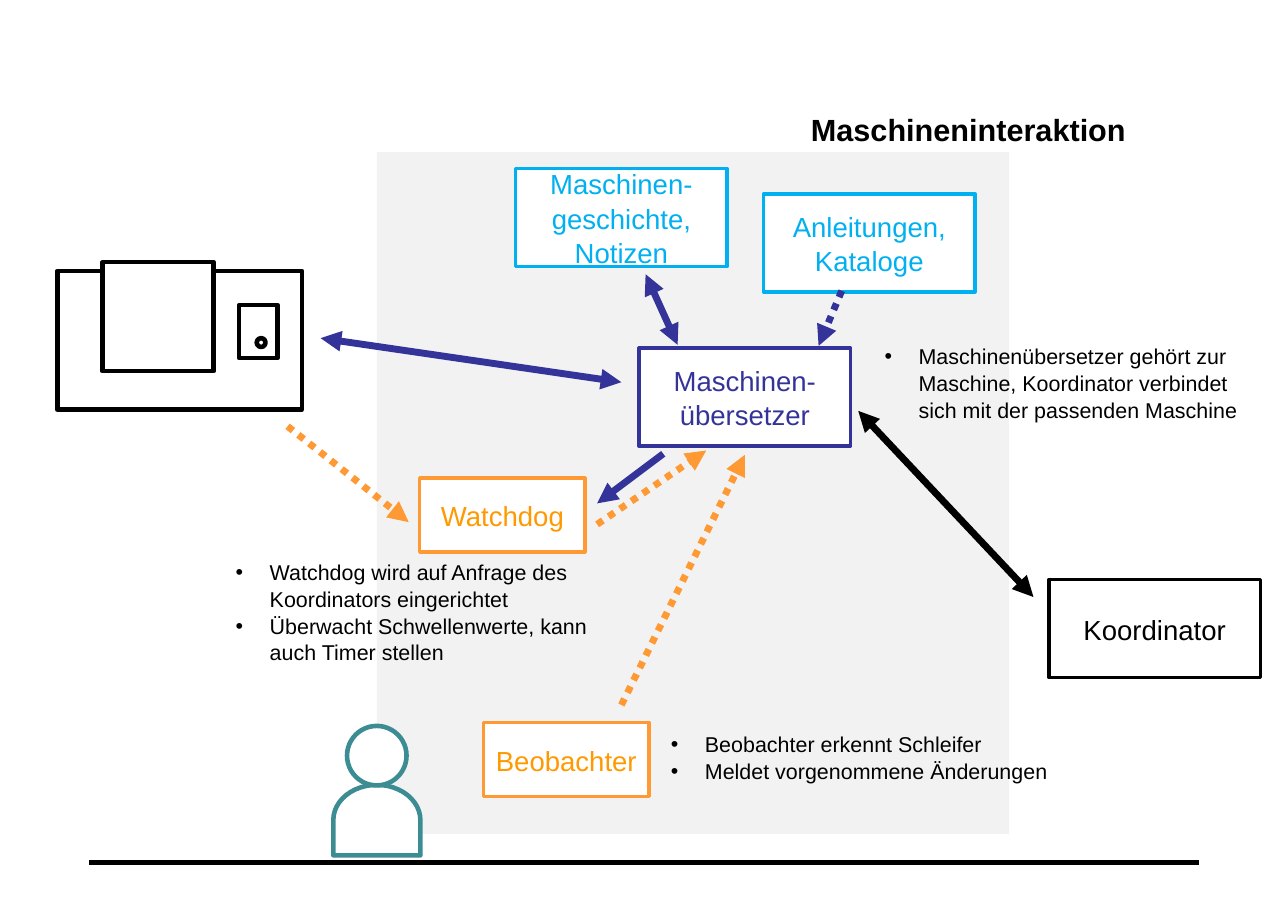
from lxml.etree import SubElement
from pptx import Presentation
from pptx.dml.color import RGBColor
from pptx.enum.dml import MSO_LINE_DASH_STYLE as Dash
from pptx.enum.shapes import MSO_CONNECTOR, MSO_SHAPE as Kind
from pptx.enum.text import MSO_ANCHOR, MSO_AUTO_SIZE, PP_ALIGN
from pptx.oxml.ns import qn
from pptx.util import Inches, Pt

COLOURS = {
    "black": "000000", "white": "FFFFFF", "panel": "F2F2F2", "cyan": "00B0F0",
    "indigo": "333399", "orange": "FF9933", "amber": "FF9900", "teal": "3C8C93",
}
LINE_SPACING = 1.04


def add_outlined(shapes, kind, frame, line, width=3):
    """Add a white preset shape with a coloured outline."""
    shape = shapes.add_shape(kind, *map(Inches, frame))
    shape.shadow.inherit = False
    shape.fill.solid()
    shape.fill.fore_color.rgb = RGBColor.from_string(COLOURS["white"])
    shape.line.color.rgb = RGBColor.from_string(COLOURS[line])
    shape.line.width = Pt(width)
    return shape


def add_span(para, text, size, colour):
    span = para.add_run()
    span.text = text
    span.font.name = "Arial"
    span.font.size = Pt(size)
    span.font.color.rgb = RGBColor.from_string(COLOURS[colour])
    return span


deck = Presentation()
deck.slide_width, deck.slide_height = Inches(11.69), Inches(8.27)
page = deck.slides.add_slide(deck.slide_layouts[5])
shapes = page.shapes

# Grey panel
panel = shapes.add_shape(Kind.RECTANGLE, Inches(3.42), Inches(1.38), Inches(5.74), Inches(6.19))
panel.shadow.inherit = False
panel.fill.solid()
panel.fill.fore_color.rgb = RGBColor.from_string(COLOURS["panel"])
panel.line.fill.background()

# Title
title = shapes.title
title.left, title.top, title.width, title.height = map(Inches, (7.36, 1.01, 3.52, 0.5))
frame = title.text_frame
frame.margin_left = frame.margin_top = frame.margin_right = frame.margin_bottom = 0
frame.auto_size = MSO_AUTO_SIZE.NONE
frame.vertical_anchor = MSO_ANCHOR.TOP
frame.paragraphs[0].alignment = PP_ALIGN.LEFT
add_span(frame.paragraphs[0], "Maschineninteraktion", 20, "black").font.bold = True

# Machine and person
machine = shapes.add_group_shape().shapes
for kind, *place in (
    (Kind.RECTANGLE, 0.52, 2.46, 2.22, 1.26),
    (Kind.RECTANGLE, 0.93, 2.38, 1.01, 0.99),
    (Kind.RECTANGLE, 2.17, 2.77, 0.35, 0.48),
    (Kind.OVAL, 2.33, 3.07, 0.08, 0.08),
):
    add_outlined(machine, kind, place, "black")

person = shapes.add_group_shape().shapes
torso = add_outlined(person, Kind.FLOWCHART_DELAY, (3.1, 7.05, 0.64, 0.79), "teal")
torso.rotation = 270
add_outlined(person, Kind.FLOWCHART_CONNECTOR, (3.15, 6.59, 0.54, 0.54), "teal")

# Labelled boxes in two sizes
LARGE, SMALL = (1.92, 0.89), (1.5, 0.67)
for label, left, top, size, line, colour in (
    ("Maschinen-geschichte, Notizen", 4.68, 1.53, LARGE, "cyan", "cyan"),
    ("Anleitungen, Kataloge", 6.93, 1.76, LARGE, "cyan", "cyan"),
    ("Maschinen-übersetzer", 5.8, 3.16, LARGE, "indigo", "indigo"),
    ("Koordinator", 9.52, 5.26, LARGE, "black", "black"),
    ("Watchdog", 3.81, 4.34, SMALL, "orange", "amber"),
    ("Beobachter", 4.39, 6.56, SMALL, "orange", "amber"),
):
    box = add_outlined(shapes, Kind.RECTANGLE, (left, top, *size), line, 2.25)
    box.text_frame.word_wrap = True
    box.text_frame.vertical_anchor = MSO_ANCHOR.MIDDLE
    para = box.text_frame.paragraphs[0]
    para.alignment = PP_ALIGN.CENTER
    para.line_spacing = LINE_SPACING
    add_span(para, label, 18, colour)

# Ground line and arrows: start, end, colour, width, dotted, arrowheads
BOTH, END = ("headEnd", "tailEnd"), ("tailEnd",)
for start, end, colour, width, dotted, heads in (
    ((0.81, 7.83), (10.88, 7.83), "black", 3, False, ()),
    ((9.38, 5.42), (7.79, 3.73), "black", 4.5, False, BOTH),
    ((5.64, 3.47), (2.91, 3.07), "indigo", 4.5, False, BOTH),
    ((6.15, 3.13), (5.86, 2.49), "indigo", 4.5, False, BOTH),
    ((6.02, 4.12), (5.42, 4.57), "indigo", 4.5, False, END),
    ((7.64, 2.64), (7.43, 3.14), "indigo", 4.5, True, END),
    ((2.61, 3.87), (3.71, 4.74), "orange", 4.5, True, END),
    ((5.42, 4.76), (6.41, 4.09), "orange", 4.5, True, END),
    ((5.64, 6.4), (6.76, 4.13), "orange", 4.5, True, END),
):
    arrow = shapes.add_connector(MSO_CONNECTOR.STRAIGHT, *map(Inches, start + end))
    arrow.line.color.rgb = RGBColor.from_string(COLOURS[colour])
    arrow.line.width = Pt(width)
    if dotted:
        arrow.line.dash_style = Dash.ROUND_DOT
    properties = arrow._element.spPr
    for head in heads:
        SubElement(properties.find(qn("a:ln")), qn("a:" + head), type="triangle")
    SubElement(properties, qn("a:effectLst"))

# Bulleted notes
for place, items in (
    ((7.93, 3.06, 3.44, 0.81),
     ["Maschinenübersetzer gehört zur Maschine, Koordinator verbindet sich mit der passenden Maschine"]),
    ((2.04, 5.02, 3.44, 1.04),
     ["Watchdog wird auf Anfrage des Koordinators eingerichtet",
      "Überwacht Schwellenwerte, kann auch Timer stellen"]),
    ((5.99, 6.58, 4.17, 0.57),
     ["Beobachter erkennt Schleifer", "Meldet vorgenommene Änderungen"]),
):
    note = shapes.add_textbox(*map(Inches, place)).text_frame
    note.word_wrap = True
    for index, item in enumerate(items):
        para = note.add_paragraph() if index else note.paragraphs[0]
        para.line_spacing = LINE_SPACING
        settings = para._p.get_or_add_pPr()
        settings.set("marL", str(Inches(0.31)))
        settings.set("indent", str(-Inches(0.31)))
        SubElement(settings, qn("a:buFont"), typeface="Arial")
        SubElement(settings, qn("a:buChar"), char="•")
        add_span(para, item, 14, "black")

deck.save("out.pptx")
